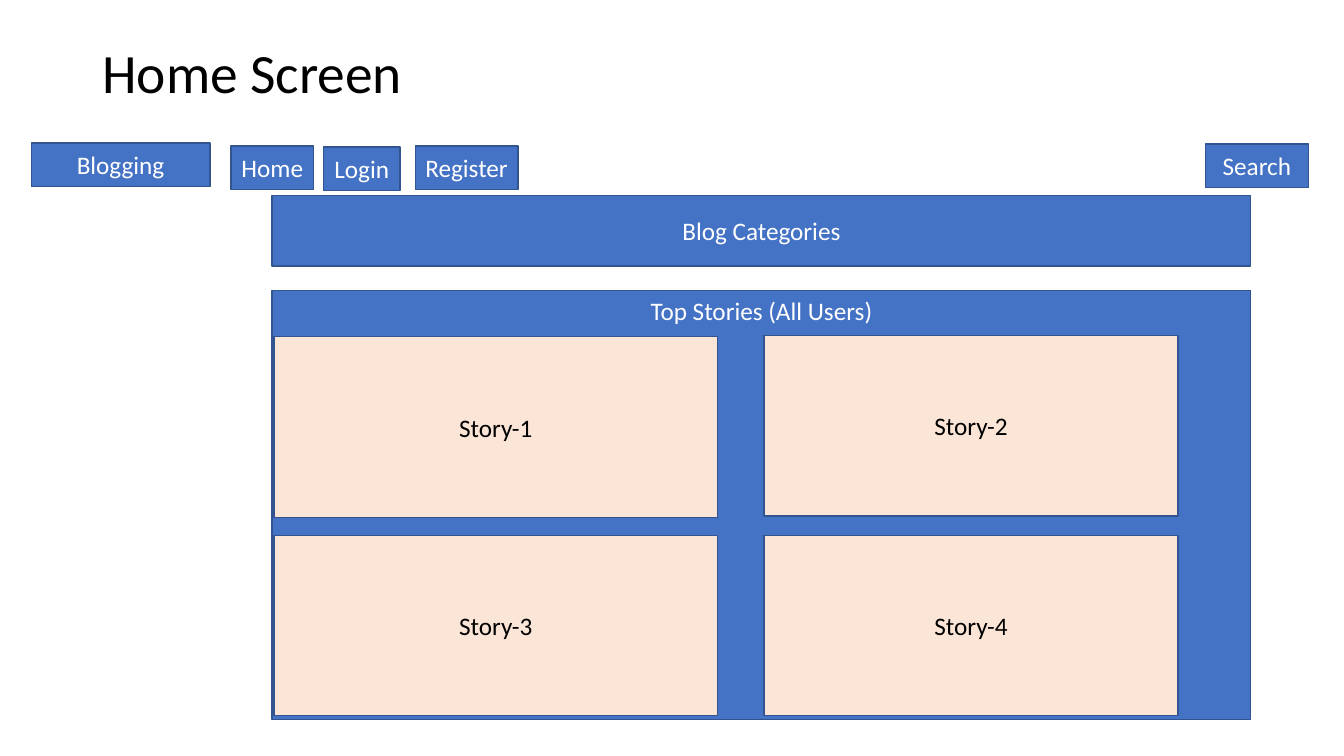
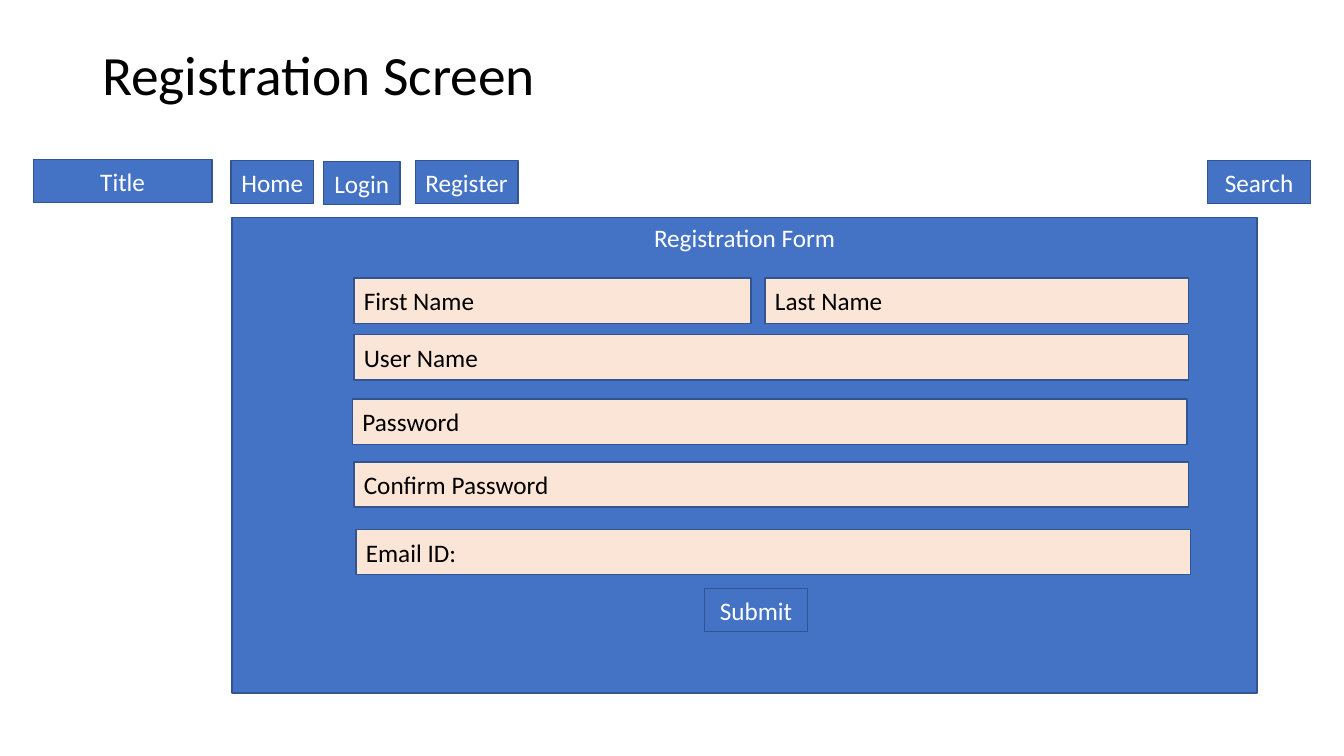
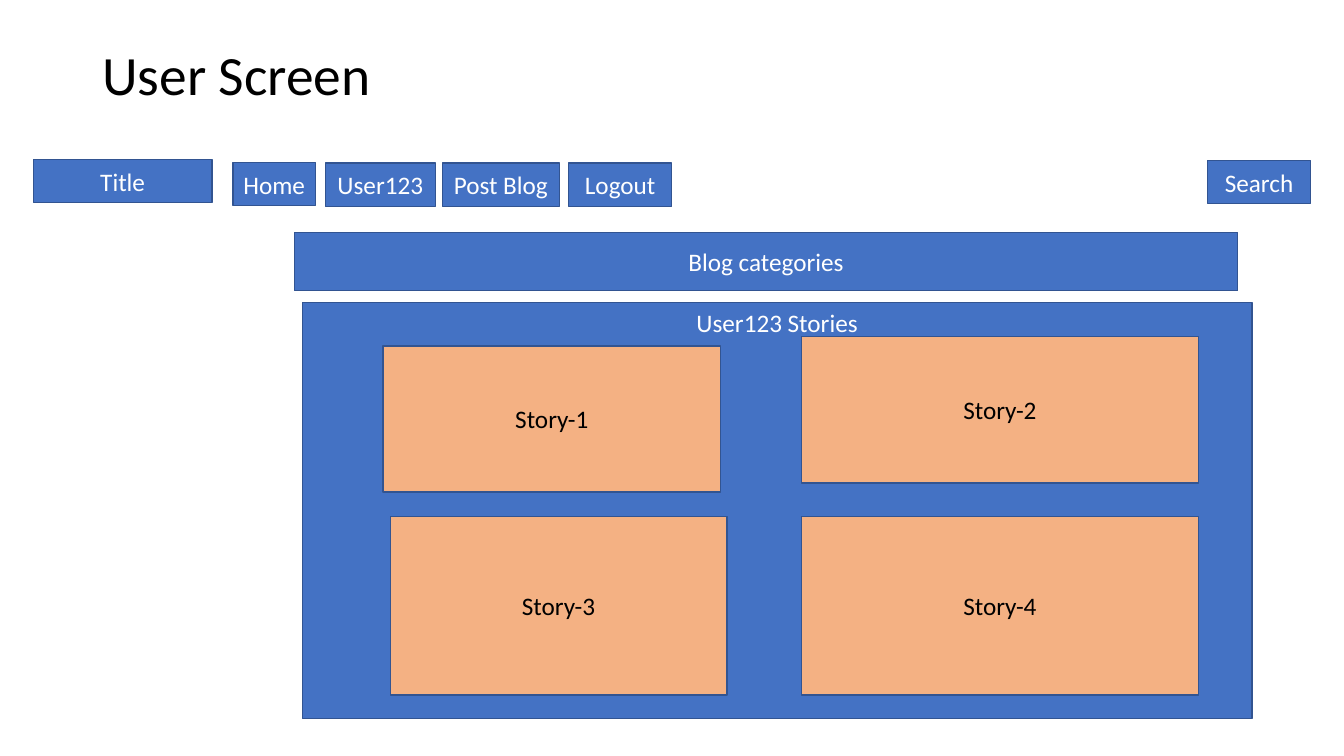
import pptx
import pptx.util
import pptx.dml.color
import pptx.enum.shapes
import pptx.enum.text

Pt = pptx.util.Pt
ALIGN = pptx.enum.text.PP_ALIGN
ANCHOR = pptx.enum.text.MSO_ANCHOR

COLORS = {
    "blue": "4472C4",
    "outline": "325491",
    "peach": "FBE5D6",
    "orange": "F4B183",
    "white": "FFFFFF",
    "black": "000000",
}


class Wireframe:
    """Holds the shared style and the slide being drawn."""

    font = "Calibri"
    body_size = 18
    title_size = 39.6
    button_height = 31
    field_height = 32.4
    button_width = 73.4

    def __init__(self):
        self.deck = pptx.Presentation()
        self.deck.slide_width = Pt(960)
        self.deck.slide_height = Pt(540)
        self.slide = None

    def color(self, name):
        return pptx.dml.color.RGBColor.from_string(COLORS[name])

    def label(self, frame, text, size, color, align, anchor):
        frame.word_wrap = True
        frame.vertical_anchor = anchor
        paragraph = frame.paragraphs[0]
        paragraph.text = text
        paragraph.alignment = align
        paragraph.font.name = self.font
        paragraph.font.size = Pt(size)
        paragraph.font.color.rgb = self.color(color)
        return paragraph

    def screen(self, title, title_height=52.6):
        """Start a slide with its title."""
        self.slide = self.deck.slides.add_slide(self.deck.slide_layouts[6])
        heading = self.slide.shapes.add_textbox(
            Pt(66), Pt(28.8), Pt(828), Pt(title_height))
        paragraph = self.label(heading.text_frame, title, self.title_size,
                               "black", ALIGN.LEFT, ANCHOR.MIDDLE)
        paragraph.line_spacing = 0.9

    def box(self, text, left, top, width, height, fill="blue",
            color="white", align=ALIGN.CENTER, anchor=ANCHOR.MIDDLE):
        rectangle = self.slide.shapes.add_shape(
            pptx.enum.shapes.MSO_SHAPE.RECTANGLE,
            Pt(left), Pt(top), Pt(width), Pt(height))
        rectangle.shadow.inherit = False
        rectangle.fill.solid()
        rectangle.fill.fore_color.rgb = self.color(fill)
        rectangle.line.color.rgb = self.color("outline")
        rectangle.line.width = Pt(1)
        self.label(rectangle.text_frame, text, self.body_size, color, align, anchor)
        return rectangle

    def button(self, text, left, top, width=button_width):
        # Labels nearly fill their buttons, so they stay on one line
        face = self.box(text, left, top, width, self.button_height)
        face.text_frame.word_wrap = False

    def navigation(self, brand, left, top, links):
        """Site name at the left, links beside it, search at the far right."""
        self.button(brand, left, top, 127.6)
        for link in links:
            self.button(*link)
        self.button("Search", left + 838.8, top + 0.7)

    def panel(self, heading, left, top, width, height):
        self.box(heading, left, top, width, height, anchor=ANCHOR.TOP)

    def stories(self, places, fill):
        for number, place in enumerate(places, start=1):
            self.box(f"Story-{number}", *place, fill=fill, color="black")

    def field(self, caption, left, top, width=596.2):
        self.box(caption, left, top, width, self.field_height,
                 fill="peach", color="black", align=ALIGN.LEFT)


def guest_links(top):
    return [("Home", 165, top, 59), ("Login", 231, top + 0.7, 54.8),
            ("Register", 296.6, top)]


def main():
    wire = Wireframe()

    # Home screen
    wire.screen("Home Screen", title_height=50.4)
    wire.navigation("Blogging", 22.3, 102.3, guest_links(104.4))
    wire.box("Blog Categories", 194.4, 139.7, 699, 50.4)
    wire.panel("Top Stories (All Users)", 194.4, 207.4, 699, 306.6)
    wire.stories([(195.8, 240.5, 316.8, 129), (545.6, 239.6, 296, 129),
                  (195.8, 382.3, 316.8, 129), (545.6, 382.3, 296, 129)], "peach")

    # Registration screen
    wire.screen("Registration Screen")
    wire.navigation("Title", 23.8, 113.8, guest_links(114.5))
    wire.panel("Registration Form", 165.8, 155.5, 732.2, 339.6)
    for entry in [("First Name", 252.8, 198.7, 283.7),
                  ("Last Name", 546.5, 198.7, 302.4),
                  ("User Name", 252.8, 239),
                  ("Password", 251.8, 285.1),
                  ("Confirm Password", 252.8, 329.9),
                  ("Email ID:", 254.2, 378.2)]:
        wire.field(*entry)
    wire.button("Submit", 503.3, 420.3)

    # User screen
    wire.screen("User Screen")
    wire.navigation("Title", 23.8, 113.8,
                    [("Home", 166.4, 115.9, 59), ("User123", 232.4, 116.6, 78.5),
                     ("Post Blog", 316, 116.6, 83.5), ("Logout", 406.3, 116.6)])
    wire.box("Blog categories", 210.2, 165.9, 674, 41.8)
    wire.panel("User123 Stories", 216, 216, 678.2, 297.4)
    wire.stories([(273.6, 247, 241.2, 104.4), (572.4, 240.5, 283.7, 104.4),
                  (278.8, 368.8, 240.4, 127.6), (572.4, 368.8, 283.7, 127.6)], "orange")

    wire.deck.save("out.pptx")


if __name__ == "__main__":
    main()
